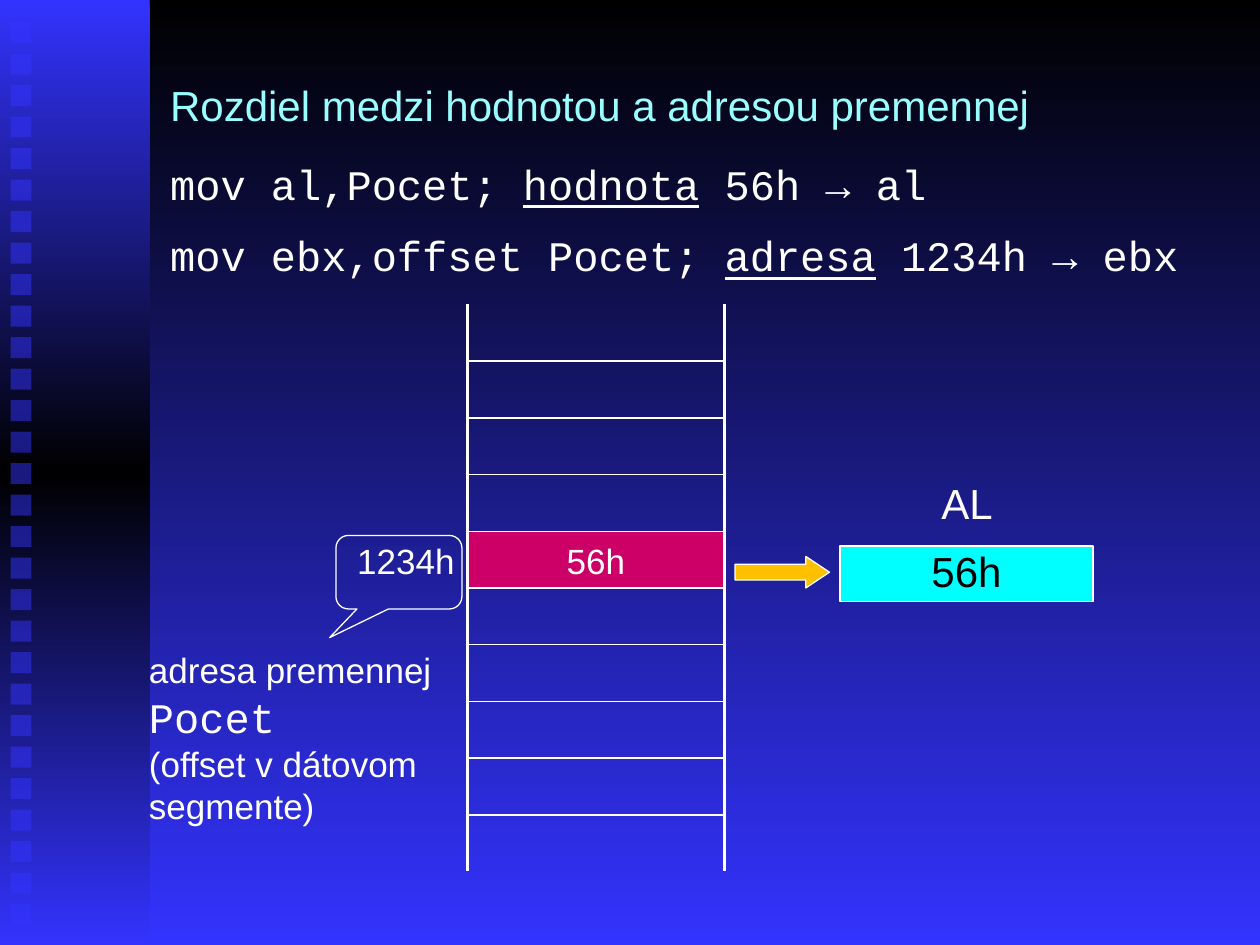
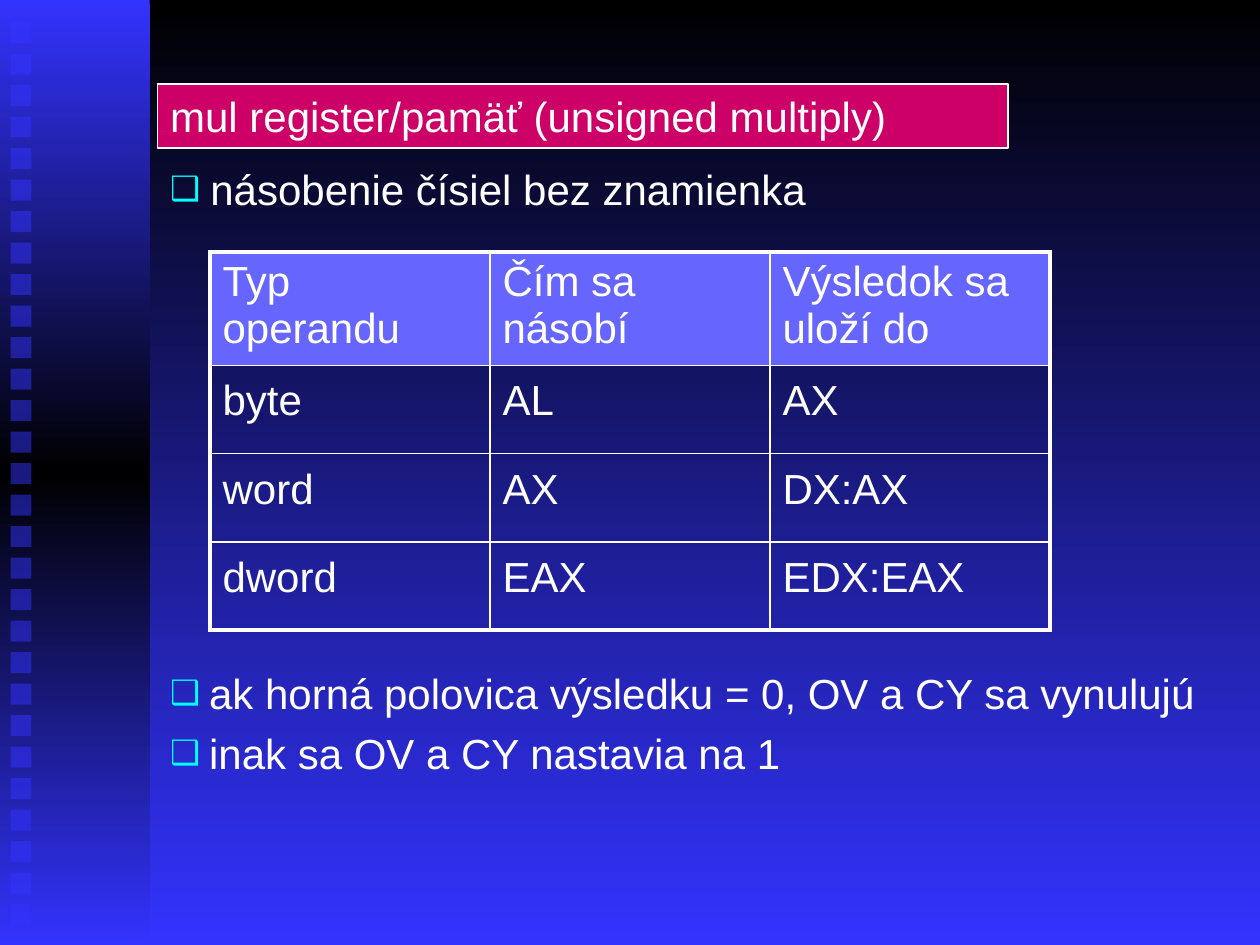
from lxml.etree import SubElement
from pptx import Presentation
from pptx.dml.color import RGBColor
from pptx.enum.shapes import MSO_SHAPE as Preset
from pptx.enum.text import MSO_ANCHOR as Anchor, MSO_AUTO_SIZE as AutoSize, PP_ALIGN as Align
from pptx.oxml.ns import qn
from pptx.util import Inches, Pt

COLORS = {
    "blue": "3333FF", "black": "000000", "white": "FFFFFF", "title": "99FFFF",
    "accent": "CC0066", "cyan": "00FFFF", "orange": "FFC000", "header": "6666FF",
}
SANS, CODE = "Arial", "Courier New"
COLUMNS, ROWS = 120, 90  # the slide grid: 12 units to the inch
THICK, THIN = 2.25, 1
PLAIN_TABLE = "{2D5ABB26-0587-4C30-8999-92F81FD0307C}"
TALL = (0.1, 0.09, 0.1, 0.05)
NORMAL = (0.1, 0.05, 0.1, 0.05)


# ---- Shared helpers ----
def units(count):
    return Inches(count / 12)


def color(name):
    return RGBColor.from_string(COLORS[name])


def place(shape, box):
    for side, length in zip(("left", "top", "width", "height"), box):
        setattr(shape, side, units(length))


def add_gradient(fill, element, names):
    """Fill from top to bottom with evenly spaced colours."""
    fill.gradient()
    fill.gradient_angle = 270
    stops = next(element.iter(qn("a:gsLst")))
    for stop in list(stops):
        stops.remove(stop)
    for index, name in enumerate(names):
        position = str(100000 * index // (len(names) - 1))
        stop = SubElement(stops, qn("a:gs"), pos=position)
        SubElement(stop, qn("a:srgbClr"), val=COLORS[name])


def paint(shape, fill=None, line=None):
    if fill:
        shape.fill.solid()
        shape.fill.fore_color.rgb = color(fill)
    else:
        shape.fill.background()
    if line:
        shape.line.color.rgb = color(line)
        shape.line.width = Pt(0.75)
    else:
        shape.line.fill.background()


def add_preset(slide, preset, box, fill=None, line=None):
    shape = slide.shapes.add_shape(preset, *map(units, box))
    shape.shadow.inherit = False
    paint(shape, fill, line)
    return shape


def space_before(paragraph, percent):
    paragraph.space_before = Pt(0)
    spacing = next(paragraph._p.iter(qn("a:spcBef")))
    spacing.remove(spacing[0])
    SubElement(spacing, qn("a:spcPct"), val=str(percent * 1000))


def set_bullet(paragraph, hanging, bullet=None):
    properties = paragraph._p.get_or_add_pPr()
    properties.set("marL", str(Inches(hanging)))
    properties.set("indent", str(-Inches(hanging)))
    if not bullet:
        SubElement(properties, qn("a:buNone"))
        return
    bullet_color = SubElement(properties, qn("a:buClr"))
    SubElement(bullet_color, qn("a:srgbClr"), val=COLORS["cyan"])
    SubElement(properties, qn("a:buSzPct"), val="80000")
    SubElement(properties, qn("a:buChar"), char=bullet)


def write(paragraph, *parts, align=Align.LEFT, before=50, ink="white", size=24, name=SANS):
    """Add text parts: plain strings, or (string, font changes) pairs."""
    paragraph.alignment = align
    space_before(paragraph, before)
    for part in parts:
        text, changes = (part, {}) if isinstance(part, str) else part
        run = paragraph.add_run()
        run.text = text
        font_format = {"name": name, "size": Pt(size), **changes}
        for attribute, value in font_format.items():
            setattr(run.font, attribute, value)
        run.font.color.rgb = color(ink)


def set_frame(shape, margins=NORMAL):
    frame = shape.text_frame
    frame_format = {"word_wrap": True, "auto_size": AutoSize.NONE, "vertical_anchor": Anchor.TOP}
    for side, margin in zip(("left", "top", "right", "bottom"), margins):
        frame_format["margin_" + side] = Inches(margin)
    for attribute, value in frame_format.items():
        setattr(frame, attribute, value)
    return frame


def paragraphs(frame, count):
    return [frame.paragraphs[0]] + [frame.add_paragraph() for _ in range(count - 1)]


def add_text_box(slide, box):
    return set_frame(slide.shapes.add_textbox(*map(units, box)), TALL)


def set_title(slide, box, text, ink):
    title = slide.shapes.title
    place(title, box)
    write(set_frame(title).paragraphs[0], text, ink=ink)
    return title


def set_list(placeholder, box, lines, hanging, bullet=None, margins=NORMAL, before=50, name=SANS):
    place(placeholder, box)
    frame = set_frame(placeholder, margins)
    for paragraph, parts in zip(paragraphs(frame, len(lines)), lines):
        write(paragraph, *parts, before=before, name=name)
        set_bullet(paragraph, hanging, bullet)


# ---- Tables ----
def add_plain_table(slide, column, row, widths, heights):
    box = (column, row, sum(widths), sum(heights))
    graphic = slide.shapes.add_table(len(heights), len(widths), *map(units, box))
    table = graphic.table
    table.first_row = table.horz_banding = False
    next(graphic._element.iter(qn("a:tableStyleId"))).text = PLAIN_TABLE
    for table_column, width in zip(table.columns, widths):
        table_column.width = units(width)
    for table_row, height in zip(table.rows, heights):
        table_row.height = units(height)
    return table


def fill_cell(cell, text="", fill=None, margins=NORMAL, borders=None, **text_format):
    for side, margin in zip(("left", "top", "right", "bottom"), margins):
        setattr(cell, "margin_" + side, Inches(margin))
    if text:
        write(cell.text_frame.paragraphs[0], text, before=20, **text_format)
    # Borders come before the fill in the cell properties
    properties = cell._tc.get_or_add_tcPr()
    for side in "LRTB":
        if borders and side in borders:
            line = SubElement(properties, qn("a:ln" + side), w=str(Pt(borders[side])))
            solid = SubElement(line, qn("a:solidFill"))
            SubElement(solid, qn("a:srgbClr"), val=COLORS["white"])
    if fill:
        cell.fill.solid()
        cell.fill.fore_color.rgb = color(fill)
    else:
        cell.fill.background()


def add_memory(slide, column, row):
    """Memory cells with the address of one of them at the left."""
    count, variable_row = 10, 4
    table = add_plain_table(slide, column, row, (28.5, 24.5), [5.4] * count)
    for index in range(count):
        borders = {"L": THICK, "R": THICK}
        if index > 0:
            borders["T"] = THIN
        if index < count - 1:
            borders["B"] = THIN
        address, value, fill = "", "", None
        if index == variable_row:
            address, value, fill = "1234h", "56h", "accent"
        fill_cell(table.cell(index, 0), address, margins=TALL, borders={"R": THICK},
                  align=Align.RIGHT, size=20)
        fill_cell(table.cell(index, 1), value, fill, TALL, borders, align=Align.CENTER, size=20)


def add_operand_table(slide, column, row, width):
    content = [
        ("Typ operandu", "Čím sa násobí", "Výsledok sa uloží do"),
        ("byte", "AL", "AX"),
        ("word", "AX", "DX:AX"),
        ("dword", "EAX", "EDX:EAX"),
    ]
    last_row, last_column = len(content) - 1, len(content[0]) - 1
    widths = [width / len(content[0])] * len(content[0])
    table = add_plain_table(slide, column, row, widths, [10.8] + [8.4] * last_row)
    for y, texts in enumerate(content):
        for x, text in enumerate(texts):
            borders = {
                "L": THIN if x else THICK, "R": THICK if x == last_column else THIN,
                "T": THIN if y else THICK, "B": THICK if y == last_row else THIN,
            }
            margins = (0.1, 0.1, 0.1, 0.05) if y else NORMAL
            fill_cell(table.cell(y, x), text, None if y else "header", margins, borders)


# ---- Regions of the memory slide ----
def add_register(slide, column, row):
    """Arrow into a labelled register."""
    add_preset(slide, Preset.RIGHT_ARROW, (column, row + 1, 9, 3), "orange", "white").adjustments[1] = 0.75
    register = add_preset(slide, Preset.RECTANGLE, (column + 10, row, 24.1, 5.3), "cyan", "white")
    frame = set_frame(register, (0.1, 0, 0.1, 0.05))
    write(frame.paragraphs[0], "56h", align=Align.CENTER, ink="black")
    label = add_text_box(slide, (column + 8.1, row - 7.6, 28, 6.6))
    write(label.paragraphs[0], "AL", align=Align.CENTER)


def add_address_note(slide, column, row):
    """Callout around the address, with its explanation below."""
    callout = add_preset(slide, Preset.ROUNDED_RECTANGULAR_CALLOUT,
                         (column + 19, row, 12, 7), line="white")
    for index, value in enumerate((-0.55, 0.89, 0.17)):
        callout.adjustments[index] = value
    first, second = paragraphs(add_text_box(slide, (column, row + 9, 33, 19.4)), 2)
    write(first, "adresa premennej", (" Pocet", {"name": CODE, "size": Pt(24)}), size=20)
    write(second, "(offset v dátovom segmente)", before=0, size=20)


# ---- Slides ----
def decorate_master(presentation, slide):
    """Background, side band and its squares, moved from a slide to the master."""
    master = presentation.slide_master
    add_gradient(master.background.fill, master.element, ("black", "blue"))
    band = add_preset(slide, Preset.RECTANGLE, (0, 0, 14.25, ROWS))
    add_gradient(band.fill, band._element, ("blue", "black", "blue"))
    parts = [band]
    for index in range(29):
        square = add_preset(slide, Preset.RECTANGLE, (1, 2.1 + 3 * index, 2, 2), "blue")
        SubElement(next(square._element.iter(qn("a:srgbClr"))), qn("a:alpha"), val="50000")
        parts.append(square)
    for position, part in enumerate(parts, start=2):
        master.shapes.element.insert(position, part._element)


def build_address_slide(slide):
    set_title(slide, (15, 7, 102, 6), "Rozdiel medzi hodnotou a adresou premennej", "title")
    underlined = {"underline": True}
    code_lines = [
        ("mov al,Pocet; ", ("hodnota", underlined), " 56h → al"),
        ("mov ebx,offset Pocet; ", ("adresa", underlined), " 1234h → ebx"),
    ]
    set_list(slide.placeholders[1], (15, 14, 105, 13.8), code_lines, 0.32, margins=TALL, name=CODE)
    add_memory(slide, 16, 29)
    add_register(slide, 70, 52)
    add_address_note(slide, 13, 51)


def build_multiply_slide(slide):
    title = set_title(slide, (15, 8, 81, 6.1), "mul register/pamäť (unsigned multiply)", "white")
    paint(title, "accent", "white")
    set_list(slide.placeholders[1], (15, 15, 105, 6),
             [("násobenie čísiel bez znamienka",)], 0.32, "❑")
    add_operand_table(slide, 20, 24, 80)
    results = [
        ("ak horná polovica výsledku = 0, OV a CY sa vynulujú",),
        ("inak sa OV a CY nastavia na 1",),
    ]
    set_list(slide.placeholders[2], (15, 63, 105, 11.9), results, 0.31, "❑", before=22)


presentation = Presentation()
presentation.slide_width, presentation.slide_height = units(COLUMNS), units(ROWS)
TITLE_AND_CONTENT, TWO_CONTENT = 1, 3
address_slide = presentation.slides.add_slide(presentation.slide_layouts[TITLE_AND_CONTENT])
multiply_slide = presentation.slides.add_slide(presentation.slide_layouts[TWO_CONTENT])
decorate_master(presentation, address_slide)
build_address_slide(address_slide)
build_multiply_slide(multiply_slide)
presentation.save("out.pptx")
